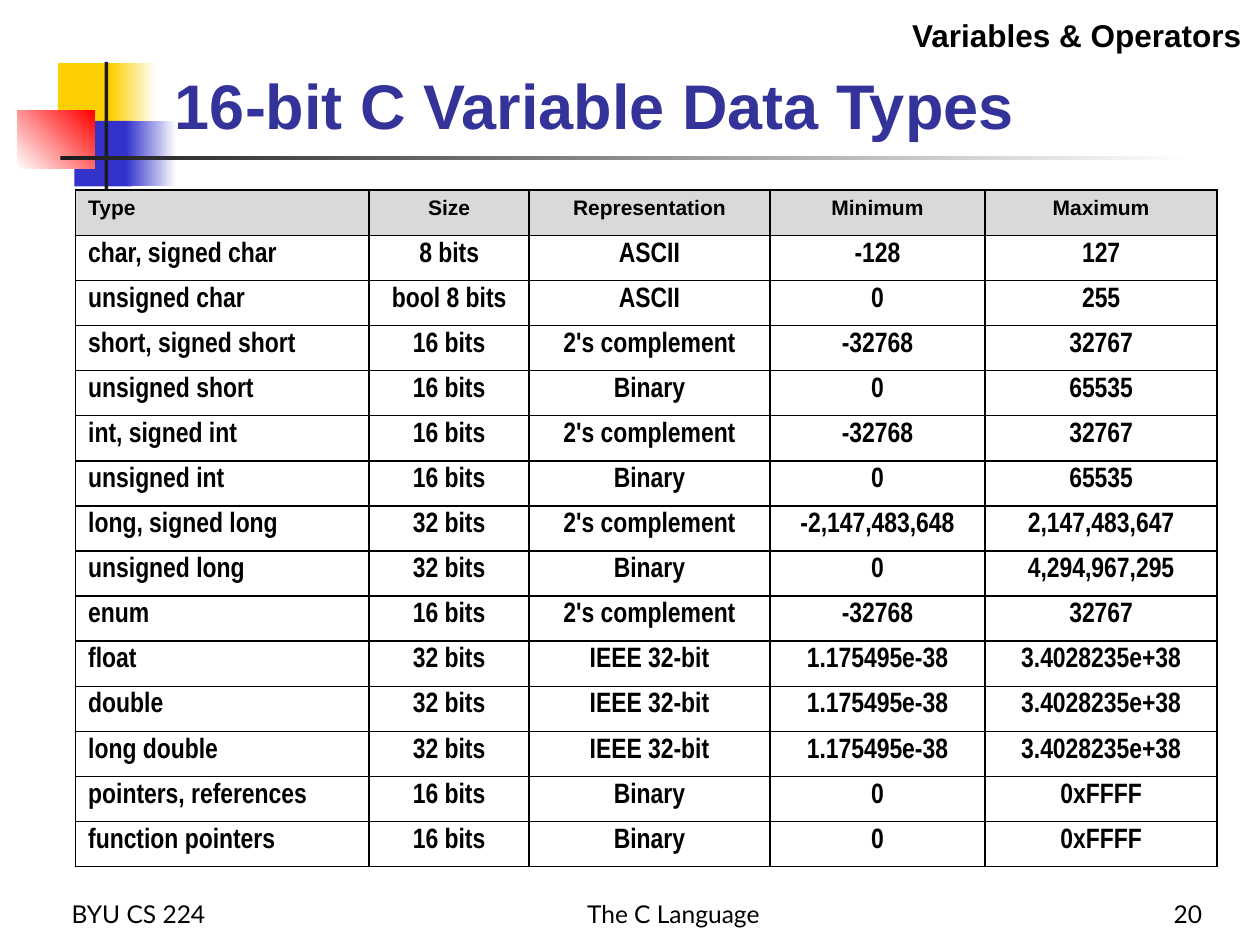
from lxml import etree
from pptx import Presentation
from pptx.dml.color import RGBColor
from pptx.enum.shapes import MSO_SHAPE
from pptx.enum.text import MSO_ANCHOR, PP_ALIGN
from pptx.oxml.ns import qn
from pptx.util import Inches, Pt

LEFT, CENTER, RIGHT = PP_ALIGN.LEFT, PP_ALIGN.CENTER, PP_ALIGN.RIGHT
TOP, BOTTOM = MSO_ANCHOR.TOP, MSO_ANCHOR.BOTTOM
RECT = MSO_SHAPE.RECTANGLE

COLORS = {
    "yellow": "FFCF01", "blue": "3333CC", "red": "FF0000", "white": "FFFFFF",
    "bar": "1C1C1C", "title": "333399", "black": "000000", "header": "D9D9D9",
}

# Decoration: left, top, width, height, colours (two make a gradient), angle
DECORATION = [
    (0.46, 0.5, 0.48, 0.52, ["yellow"], 0),
    (0.88, 0.5, 0.36, 0.52, ["yellow", "white"], 0),
    (0.59, 0.96, 0.46, 0.52, ["blue"], 0),
    (1, 0.96, 0.4, 0.52, ["blue", "white"], 0),
    (0.14, 0.88, 0.61, 0.46, ["white", "red"], 45),
    (0.83, 0.49, 0.03, 1.15, ["bar"], 0),
    (0.48, 1.24, 9, 0.03, ["bar", "white"], 0),
]

# Text: left, top, width, height, wording, font, size, bold, colour, align, anchor
TEXTS = [
    (1.29, 0.23, 8.52, 0.95, "16-bit C Variable Data Types",
     "Arial", 36, True, "title", LEFT, BOTTOM),
    (0.47, 6.92, 2.08, 0.5, "BYU CS 224", "Lato", 14, False, "black", LEFT, BOTTOM),
    (2.78, 6.92, 5.13, 0.5, "The C Language", "Lato", 14, False, "black", CENTER, BOTTOM),
    (7.56, 6.92, 2.08, 0.5, "20", "Lato", 14, False, "black", RIGHT, BOTTOM),
    (5.93, 0.08, 4.02, 0.4, "Variables & Operators",
     "Arial", 18, True, "black", RIGHT, TOP),
]

COLUMN_WIDTHS = [2.33, 1.27, 1.91, 1.71, 1.84]
TABLE_LEFT, TABLE_TOP, TABLE_HEIGHT = 0.6, 1.51, 5.37
DATA_TYPES = [
    ("Type", "Size", "Representation", "Minimum", "Maximum"),
    ("char, signed char", "8 bits", "ASCII", "-128", "127"),
    ("unsigned char", "bool 8 bits", "ASCII", "0", "255"),
    ("short, signed short", "16 bits", "2's complement", "-32768", "32767"),
    ("unsigned short", "16 bits", "Binary", "0", "65535"),
    ("int, signed int", "16 bits", "2's complement", "-32768", "32767"),
    ("unsigned int", "16 bits", "Binary", "0", "65535"),
    ("long, signed long", "32 bits", "2's complement", "-2,147,483,648", "2,147,483,647"),
    ("unsigned long", "32 bits", "Binary", "0", "4,294,967,295"),
    ("enum", "16 bits", "2's complement", "-32768", "32767"),
    ("float", "32 bits", "IEEE 32-bit", "1.175495e-38", "3.4028235e+38"),
    ("double", "32 bits", "IEEE 32-bit", "1.175495e-38", "3.4028235e+38"),
    ("long double", "32 bits", "IEEE 32-bit", "1.175495e-38", "3.4028235e+38"),
    ("pointers, references", "16 bits", "Binary", "0", "0xFFFF"),
    ("function pointers", "16 bits", "Binary", "0", "0xFFFF"),
]


def rgb(name):
    return RGBColor.from_string(COLORS[name])


def style(p, font, size, bold, color, align):
    p.alignment = align
    p.font.name, p.font.size, p.font.bold = font, Pt(size), bold
    p.font.color.rgb = rgb(color)


def add_block(slide, left, top, width, height, colors, angle):
    sp = slide.shapes.add_shape(RECT, *map(Inches, (left, top, width, height)))
    sp.shadow.inherit = False
    sp.line.fill.background()
    if len(colors) == 1:
        sp.fill.solid()
        sp.fill.fore_color.rgb = rgb(colors[0])
        return
    sp.fill.gradient()
    sp.fill.gradient_angle = angle
    for stop, color in zip(sp.fill.gradient_stops, colors):
        stop.color.rgb = rgb(color)


def add_text(slide, left, top, width, height, text, font, size, bold, color, align, anchor):
    box = slide.shapes.add_textbox(*map(Inches, (left, top, width, height)))
    tf = box.text_frame
    tf.word_wrap = True
    tf.vertical_anchor = anchor
    p = tf.paragraphs[0]
    p.text = text
    style(p, font, size, bold, color, align)


def set_borders(cell):
    tc_pr = cell._tc.get_or_add_tcPr()
    for i, side in enumerate(("lnL", "lnR", "lnT", "lnB")):
        ln = etree.Element(qn(f"a:{side}"), w=str(Pt(1)))
        fill = etree.SubElement(ln, qn("a:solidFill"))
        etree.SubElement(fill, qn("a:srgbClr"), val=COLORS["black"])
        tc_pr.insert(i, ln)


def add_type_table(slide):
    rows, cols = len(DATA_TYPES), len(COLUMN_WIDTHS)
    frame = slide.shapes.add_table(
        rows, cols, Inches(TABLE_LEFT), Inches(TABLE_TOP),
        Inches(sum(COLUMN_WIDTHS)), Inches(TABLE_HEIGHT))
    table = frame.table
    table.horz_banding = False
    for column, width in zip(table.columns, COLUMN_WIDTHS):
        column.width = Inches(width)
    for r, values in enumerate(DATA_TYPES):
        font, size = ("Arial", 12) if r == 0 else ("Arial Narrow", 16)
        for c, value in enumerate(values):
            cell = table.cell(r, c)
            if r == 0:
                cell.fill.solid()
                cell.fill.fore_color.rgb = rgb("header")
            else:
                cell.fill.background()
            set_borders(cell)
            p = cell.text_frame.paragraphs[0]
            p.text = value
            style(p, font, size, True, "black", CENTER if c else LEFT)


def main():
    prs = Presentation()
    prs.slide_width, prs.slide_height = Inches(10), Inches(7.5)
    slide = prs.slides.add_slide(prs.slide_layouts[6])
    for block in DECORATION:
        add_block(slide, *block)
    add_type_table(slide)
    for text in TEXTS:
        add_text(slide, *text)
    prs.save("out.pptx")


if __name__ == "__main__":
    main()
